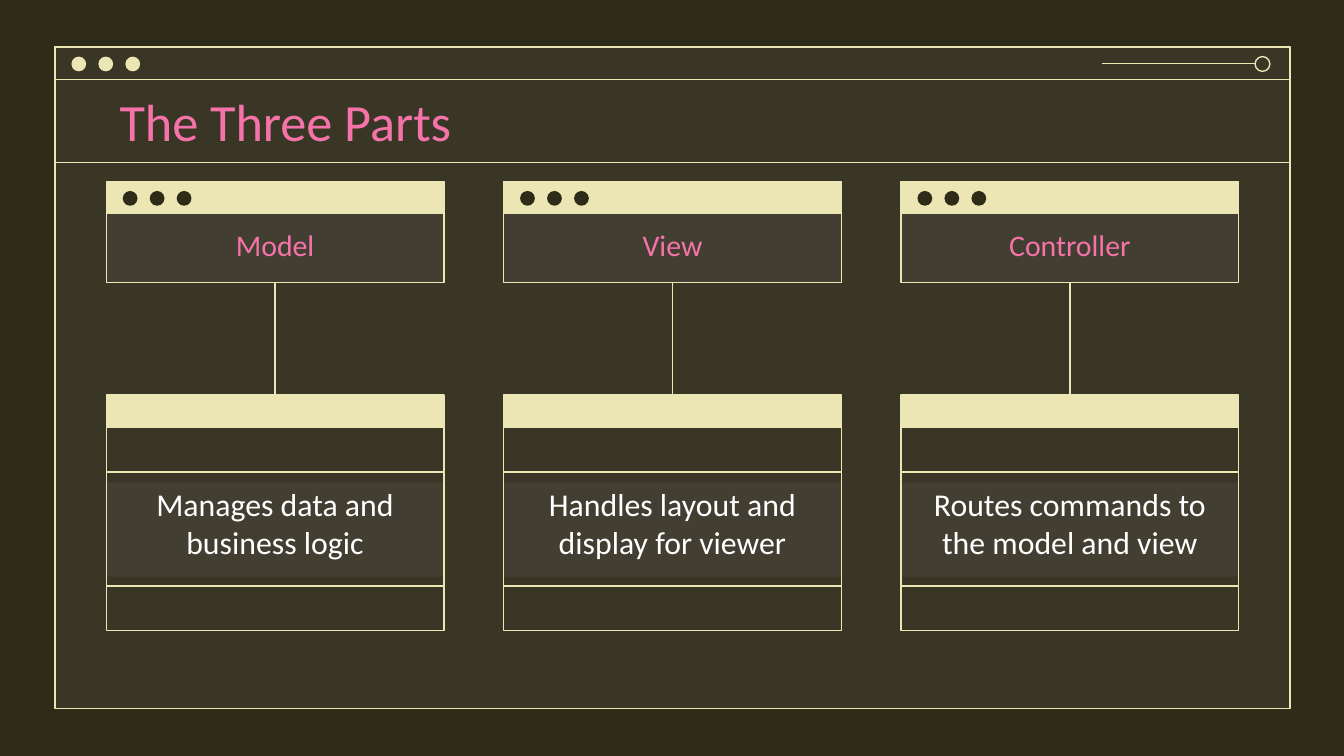
from pptx import Presentation
from pptx.dml.color import RGBColor
from pptx.enum.shapes import MSO_CONNECTOR, MSO_SHAPE
from pptx.enum.text import MSO_ANCHOR, PP_ALIGN
from pptx.oxml.ns import qn
from pptx.util import Cm, Pt
from lxml.etree import SubElement

HUES = {
    "back": "2F2B19",
    "cream": "ECE5B4",
    "pink": "F673A9",
    "white": "FFFFFF",
    "veil": "7C7C7C",
}
PARTS = [
    ("Model", "Manages data and business logic"),
    ("View", "Handles layout and display for viewer"),
    ("Controller", "Routes commands to the model and view"),
]
LEFT, STEP, WIDE, BAR = 2.01, 7.51, 6.38, 0.61


class Deck:
    font = "Calibri"
    inset = Cm(0.25)
    stroke = Pt(0.75)

    def __init__(self, slide):
        self.slide = slide
        slide.background.fill.solid()
        slide.background.fill.fore_color.rgb = self.hue("back")

    def hue(self, name):
        return RGBColor.from_string(HUES[name])

    def shape(self, box, fill=None, line=None, kind=MSO_SHAPE.RECTANGLE):
        item = self.slide.shapes.add_shape(kind, *map(Cm, box))
        item.shadow.inherit = False
        if fill:
            item.fill.solid()
            item.fill.fore_color.rgb = self.hue(fill)
        else:
            item.fill.background()
        if line:
            item.line.color.rgb = self.hue(line)
            item.line.width = self.stroke
        else:
            item.line.fill.background()
        return item

    def veil(self, box):
        item = self.shape(box, "veil")
        tint = item._element.spPr.find(qn("a:solidFill"))[0]
        SubElement(tint, qn("a:alpha"), val="14000")

    def dots(self, left, top, fill):
        for i in range(3):
            box = (left + 0.31 + 0.51 * i, top + 0.18, 0.28, 0.28)
            self.shape(box, fill, kind=MSO_SHAPE.OVAL)

    def text(self, item, words, size, color, align, anchor):
        frame = item.text_frame
        frame.word_wrap = True
        frame.vertical_anchor = anchor
        frame.margin_left = frame.margin_right = self.inset
        frame.margin_top = frame.margin_bottom = self.inset
        frame.text = words
        para = frame.paragraphs[0]
        para.alignment = align
        font = para.runs[0].font
        font.name, font.size = self.font, Pt(size)
        font.color.rgb = self.hue(color)

    def title(self, box, words):
        item = self.slide.shapes.add_textbox(*map(Cm, box))
        self.text(item, words, 28, "pink", PP_ALIGN.LEFT, MSO_ANCHOR.MIDDLE)

    def label(self, box, words, size, color):
        item = self.shape(box, line="cream")
        self.text(item, words, size, color, PP_ALIGN.CENTER, MSO_ANCHOR.TOP)
        return item

    def line(self, x1, y1, x2, y2):
        item = self.slide.shapes.add_connector(
            MSO_CONNECTOR.STRAIGHT, *map(Cm, (x1, y1, x2, y2)))
        item.line.color.rgb = self.hue("cream")
        item.line.width = self.stroke
        SubElement(item._element.spPr, qn("a:effectLst"))
        return item

    def window(self, left, top, width, height):
        self.veil((left, top, width, height))
        self.shape((left, top, width, height), line="cream")
        self.shape((left, top, width, BAR), line="cream")
        self.dots(left, top, "cream")
        self.shape((23.72, top + 0.18, 0.28, 0.28), line="cream",
                   kind=MSO_SHAPE.OVAL)
        self.line(20.83, top + 0.31, 23.72, top + 0.31)
        self.line(left, 3.07, left + width, 3.07)

    def card(self, left, name):
        top = 3.43
        self.veil((left, top, WIDE, 1.9))
        body = self.label((left, top + BAR, WIDE, 1.3), name, 16, "pink")
        self.shape((left, top, WIDE, BAR), "cream", "cream")
        self.dots(left, top, "back")
        return body

    def panel(self, left, words):
        top = 7.47
        self.shape((left, top + BAR, WIDE, 3.84), line="cream")
        self.veil((left, 9.12, WIDE, 1.78))
        self.label((left, 8.92, WIDE, 2.16), words, 17, "white")
        return self.shape((left, top, WIDE, BAR), "cream", "cream")

    def join(self, start, end):
        item = self.line(0, 0, 0, 0)
        item.begin_connect(start, 2)
        item.end_connect(end, 0)


def main():
    show = Presentation()
    show.slide_width, show.slide_height = Cm(25.4), Cm(14.29)
    deck = Deck(show.slides.add_slide(show.slide_layouts[6]))
    deck.window(1.04, 0.89, 23.34, 12.5)
    deck.title((LEFT, 1.5, 21.41, 1.57), "The Three Parts")
    for i, (name, words) in enumerate(PARTS):
        left = LEFT + STEP * i
        deck.join(deck.card(left, name), deck.panel(left, words))
    show.save("out.pptx")


if __name__ == "__main__":
    main()
